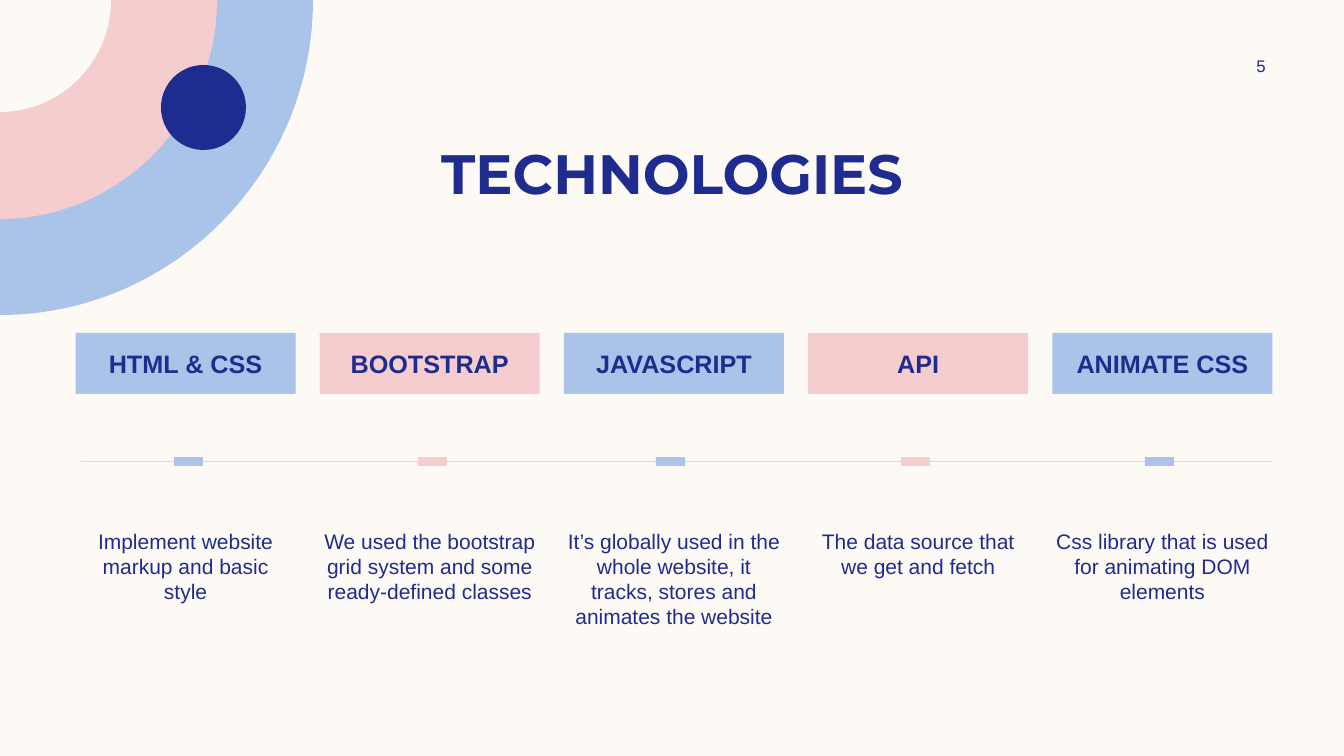
from dataclasses import dataclass

import pptx
import pptx.dml.color
import pptx.enum.shapes
import pptx.enum.text
import pptx.oxml.ns
import pptx.util
from lxml import etree

SCALE = 914400 / 100.8
BEND = 0.55


@dataclass(frozen=True)
class Theme:
    """Hold the colours, fonts and type sizes of the slide."""
    cream: str = "FDFAF6"
    blue: str = "AAC3E8"
    pink: str = "F5CDCE"
    navy: str = "1F2C8F"
    rule: str = "F2D1D1"
    head: str = "Montserrat"
    body: str = "Arial"
    title: float = 39.6
    label: float = 18
    note: float = 15
    page: float = 12


THEME = Theme()
CARDS = [
    ("HTML & CSS", "Implement website markup and basic\vstyle", 174, 88),
    ("BOOTSTRAP", "We used the bootstrap grid system and some ready-defined classes",
     418, 88),
    ("JAVASCRIPT", "It’s globally used in the whole website, it tracks, stores and "
     "animates the website", 656, 118),
    ("API", "The data source that we get and fetch", 901, 88),
    ("ANIMATE CSS", "Css library that is used for animating DOM elements", 1145, 88),
]


def emu(*pixels):
    """Turn pixels into EMU lengths."""
    return [pptx.util.Emu(round(pixel * SCALE)) for pixel in pixels]


def rgb(code):
    """Make a colour from its hex code."""
    return pptx.dml.color.RGBColor.from_string(code)


def paint(shape, color):
    """Give a shape a flat fill without line or shadow."""
    shape.shadow.inherit = False
    shape.fill.solid()
    shape.fill.fore_color.rgb = rgb(color)
    shape.line.fill.background()


def block(slide, box, color, kind="RECTANGLE"):
    """Draw a flat preset shape."""
    preset = getattr(pptx.enum.shapes.MSO_SHAPE, kind)
    shape = slide.shapes.add_shape(preset, *emu(*box))
    paint(shape, color)
    return shape


def quarter(slide, wide, high, color):
    """Draw a quarter disc with one curve in the top left corner."""
    points = [(wide, 0), (wide, BEND * high), (BEND * wide, high), (0, high)]
    form = slide.shapes.build_freeform(0, 0)
    form.add_line_segments([emu(*point) for point in points], close=True)
    shape = form.convert_to_shape()
    steps = list(shape._element.iter(pptx.oxml.ns.qn("a:lnTo")))[1:4]
    curve = etree.Element(pptx.oxml.ns.qn("a:cubicBezTo"))
    steps[0].addprevious(curve)
    for step in steps:
        curve.append(step[0])
        step.getparent().remove(step)
    paint(shape, color)


def write(shape, text, size, font=THEME.body, bold=False, anchor="MIDDLE",
          inset=(0, 0)):
    """Set centred text in a shape."""
    frame = shape.text_frame
    frame.word_wrap = True
    frame.vertical_anchor = getattr(pptx.enum.text.MSO_ANCHOR, anchor)
    frame.margin_left = frame.margin_right = emu(inset[0])[0]
    frame.margin_top = frame.margin_bottom = emu(inset[1])[0]
    line = frame.paragraphs[0]
    line.text = text
    line.alignment = pptx.enum.text.PP_ALIGN.CENTER
    line.font.name = font
    line.font.size = pptx.util.Pt(size)
    line.font.bold = bold
    line.font.color.rgb = rgb(THEME.navy)


def label(slide, box, text, size, **style):
    """Add a text box."""
    write(slide.shapes.add_textbox(*emu(*box)), text, size, **style)


def rule(slide, left, right, top):
    """Draw the level timeline."""
    kind = pptx.enum.shapes.MSO_CONNECTOR.STRAIGHT
    line = slide.shapes.add_connector(kind, *emu(left, top, right, top))
    line.line.color.rgb = rgb(THEME.rule)
    line.line.width = pptx.util.Pt(0.5)
    etree.SubElement(line._element.spPr, pptx.oxml.ns.qn("a:effectLst"))


def card(slide, index, name, note, tick, high):
    """Add one technology with its label, tick and note."""
    left = 75.6 + 244.2 * index
    color = (THEME.blue, THEME.pink)[index % 2]
    box = block(slide, (left, 333, 220, 61), color)
    write(box, name, THEME.label, bold=True)
    block(slide, (tick, 457, 29, 9), color)
    label(slide, (left, 523, 220, high), note, THEME.note,
          anchor="TOP", inset=(0, 5))


def main():
    """Build the slide and save it."""
    deck = pptx.Presentation()
    deck.slide_width, deck.slide_height = emu(1344, 756)
    slide = deck.slides.add_slide(deck.slide_layouts[6])
    slide.background.fill.solid()
    slide.background.fill.fore_color.rgb = rgb(THEME.cream)
    quarter(slide, 313, 315, THEME.blue)
    quarter(slide, 217, 219, THEME.pink)
    quarter(slide, 111, 112, THEME.cream)
    block(slide, (161, 65, 85, 85), THEME.navy, "OVAL")
    rule(slide, 81, 1273, 461)
    label(slide, (84, 134, 1176, 85), "TECHNOLOGIES", THEME.title,
          font=THEME.head, bold=True, anchor="TOP", inset=(10, 5))
    label(slide, (1207, 51, 108, 30), "5", THEME.page, inset=(10, 5))
    for index, item in enumerate(CARDS):
        card(slide, index, *item)
    deck.save("out.pptx")


main()
